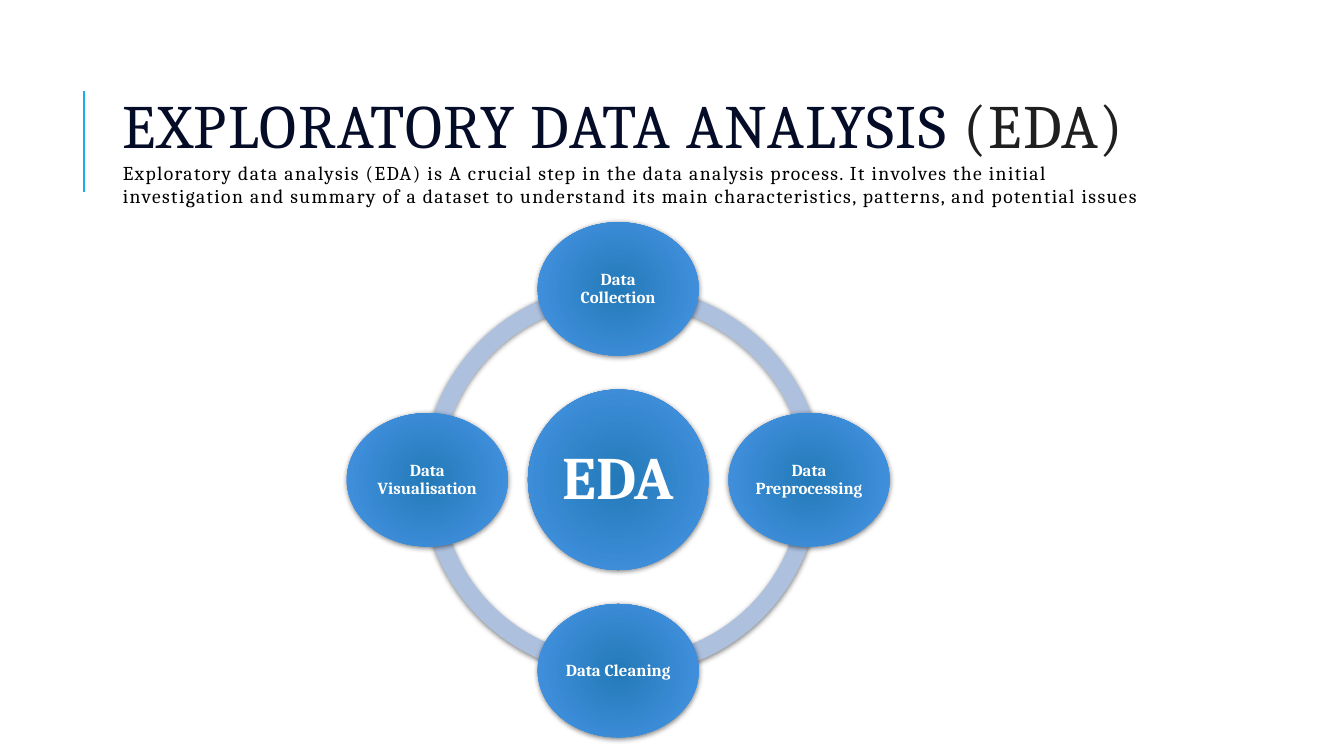
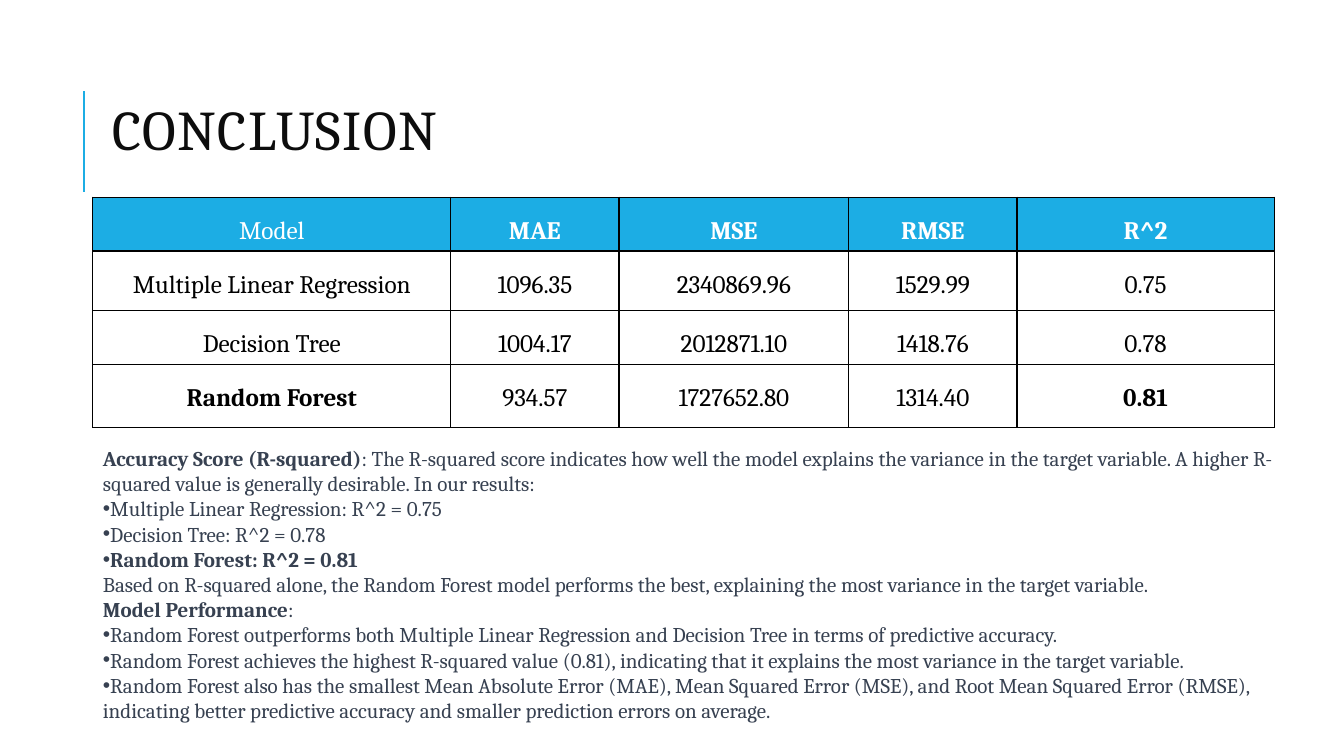
import math

from lxml import etree
from pptx import Presentation
from pptx import util as u
from pptx.dml.color import RGBColor
from pptx.enum import shapes, text
from pptx.oxml.ns import qn

ACCENT, WHITE, BLACK = "1CADE4", "FFFFFF", "000000"
NAVY, CHARCOAL, NEAR_BLACK, SLATE = "040C28", "1F1F1F", "0D0D0D", "374151"
RING, NODE_CORE, NODE_EDGE = "ADC1DF", "237AB8", "4895E7"


def rgb(value):
    return RGBColor.from_string(value)


def sub(parent, tag, **attrs):
    """Append a DrawingML element and return it."""
    return etree.SubElement(parent, qn("a:" + tag), attrs)


class Deck:
    FONT = "Cambria"
    CENTER = text.PP_ALIGN.CENTER

    def __init__(self):
        self.prs = Presentation()
        self.prs.slide_width, self.prs.slide_height = u.Cm(33.87), u.Cm(19.05)
        self.s = None

    def slide(self, layout):
        """Start a slide that carries the accent rule beside its title."""
        self.s = self.prs.slides.add_slide(self.prs.slide_layouts[layout])
        x = u.Cm(2.11)
        rule = self.s.shapes.add_connector(
            shapes.MSO_CONNECTOR.STRAIGHT, x, u.Cm(4.83), x, u.Cm(2.29))
        rule.line.color.rgb = rgb(ACCENT)
        rule.line.width = u.Pt(1.5)
        sub(rule._element.spPr, "effectLst")

    def place(self, sp, left, top, width, height):
        sp.left, sp.top, sp.width, sp.height = map(u.Cm, (left, top, width, height))

    def run(self, p, words, size, color, bold=False, spacing=None):
        r = p.add_run()
        r.text = words
        r.font.name, r.font.size, r.font.bold = self.FONT, u.Pt(size), bold
        r.font.color.rgb = rgb(color)
        if spacing:
            r._r.get_or_add_rPr().set("spc", str(spacing))

    def title(self, box, lines, line_spacing=1.0):
        """Fill the title; each line is a list of (words, size, colour)."""
        sp = self.s.shapes.title
        self.place(sp, *box)
        tf = sp.text_frame
        tf.auto_size = text.MSO_AUTO_SIZE.NONE
        tf.vertical_anchor = text.MSO_ANCHOR.MIDDLE
        p = tf.paragraphs[0]
        p.alignment, p.line_spacing = text.PP_ALIGN.LEFT, line_spacing
        for i, line in enumerate(lines):
            if i:
                p.add_line_break()
            for words, size, color in line:
                self.run(p, words, size, color, spacing=100)

    def body(self, box, items, size=15):
        """Fill the body; each item is (bulleted, [(words, bold), ...])."""
        sp = self.s.placeholders[1]
        self.place(sp, *box)
        tf = sp.text_frame
        tf.auto_size = text.MSO_AUTO_SIZE.NONE
        for i, (bulleted, runs) in enumerate(items):
            p = tf.add_paragraph() if i else tf.paragraphs[0]
            p.space_before = u.Pt(0)
            pPr = p._p.get_or_add_pPr()
            pPr.set("marL", "0")
            pPr.set("indent", "0")
            if bulleted:
                sub(pPr, "buFont", typeface="Arial")
                sub(pPr, "buChar", char="•")
            else:
                sub(pPr, "buNone")
            for words, bold in runs:
                self.run(p, words, size, SLATE, bold)

    def shape(self, kind, left, top, width, height):
        """Add an outline-free shape with the soft drop shadow."""
        sp = self.s.shapes.add_shape(kind, *map(u.Cm, (left, top, width, height)))
        sp.line.fill.background()
        sp.shadow.inherit = False
        effects = sp._element.spPr.find(qn("a:effectLst"))
        shadow = sub(effects, "outerShdw", blurRad=str(u.Pt(4)), dist=str(u.Pt(1)),
                     dir="5400000", rotWithShape="0")
        sub(sub(shadow, "srgbClr", val=BLACK), "alpha", val="50000")
        return sp

    def arc(self, left, top, width, height, start, end):
        """Add a ring section; angles are in degrees, clockwise from the right."""
        sp = self.shape(shapes.MSO_SHAPE.BLOCK_ARC, left, top, width, height)
        sp.fill.solid()
        sp.fill.fore_color.rgb = rgb(RING)
        for i, value in enumerate((start * 0.6, end * 0.6, 0.046)):
            sp.adjustments[i] = value

    def node(self, cx, cy, width, height, label, size):
        sp = self.shape(shapes.MSO_SHAPE.OVAL, cx - width / 2, cy - height / 2,
                        width, height)
        sp.fill.gradient()
        for stop, color in zip(sp.fill.gradient_stops, (NODE_CORE, NODE_EDGE)):
            stop.color.rgb = rgb(color)
        grad = sp._element.spPr.find(qn("a:gradFill"))
        grad.remove(grad.find(qn("a:lin")))
        sub(sub(grad, "path", path="circle"), "fillToRect",
            **dict.fromkeys("ltrb", "100000"))
        tf = sp.text_frame
        tf.word_wrap = True
        tf.vertical_anchor = text.MSO_ANCHOR.MIDDLE
        tf.margin_left = tf.margin_right = tf.margin_top = tf.margin_bottom = u.Cm(0.05)
        p = tf.paragraphs[0]
        p.alignment, p.line_spacing = self.CENTER, 0.9
        self.run(p, label, size, WHITE, bold=True)

    def table(self, left, top, widths, heights, rows, bold_cells):
        frame = self.s.shapes.add_table(
            len(rows), len(widths),
            *map(u.Cm, (left, top, sum(widths), sum(heights))))
        table = frame.table
        table.first_row = table.horz_banding = False
        for column, width in zip(table.columns, widths):
            column.width = u.Cm(width)
        for i, row in enumerate(rows):
            table.rows[i].height = u.Cm(heights[i])
            fill, color = (WHITE, BLACK) if i else (ACCENT, WHITE)
            for j, words in enumerate(row):
                self.cell(table.cell(i, j), words, fill, color, (i, j) in bold_cells)

    def cell(self, cell, words, fill, color, bold):
        p = cell.text_frame.paragraphs[0]
        p.alignment, p.line_spacing = self.CENTER, 1.5
        self.run(p, words, 18, color, bold)
        tcPr = cell._tc.get_or_add_tcPr()
        for side in ("lnL", "lnR", "lnT", "lnB"):
            line = sub(tcPr, side, w=str(u.Pt(1)))
            sub(sub(line, "solidFill"), "srgbClr", val=BLACK)
        cell.fill.solid()
        cell.fill.fore_color.rgb = rgb(fill)


def eda_slide(deck):
    deck.slide(5)
    deck.title((2.84, 1.63, 27, 4.17), [
        [("EXPLORATORY DATA ANALYSIS", 44, NAVY), ("\u00a0(EDA)", 44, CHARCOAL)],
        [("Exploratory data analysis (EDA) is A crucial step in the data analysis "
          "process. It involves the initial investigation and summary of a dataset "
          "to understand its main characteristics, patterns, and potential issues",
          14, BLACK)],
    ])
    arcs = [(10.64, 9.86, 180), (10.64, 9.86, 90), (10.8, 9.86, 0), (10.41, 10.34, 270)]
    for left, width, start in arcs:
        deck.arc(left, 7.16, width, 9.86, start, (start + 90) % 360)

    cx, cy, orbit = 15.58, 12.09, 4.81
    deck.node(cx, cy, 4.55, 4.55, "EDA", 43)
    steps = ["Data Collection", "Data Preprocessing", "Data Cleaning",
             "Data Visualisation"]
    for i, step in enumerate(steps):
        angle = math.radians(90 * i - 90)
        deck.node(cx + orbit * math.cos(angle), cy + orbit * math.sin(angle),
                  4.06, 3.36, step, 12)


def conclusion_slide(deck):
    deck.slide(1)
    deck.title((2.59, 2.72, 29.21, 1.32), [[("CONCLUSION", 40, NEAR_BLACK)]], 0.8)
    deck.table(
        2.34, 4.97, (9.02, 4.24, 5.79, 4.24, 6.48), (1.17, 1.5, 1.14, 1.6),
        [("Model", "MAE", "MSE", "RMSE", "R^2"),
         ("Multiple Linear Regression", "1096.35", "2340869.96", "1529.99", "0.75"),
         ("Decision Tree", "1004.17", "2012871.10", "1418.76", "0.78"),
         ("Random Forest", "934.57", "1727652.80", "1314.40", "0.81")],
        bold_cells={(0, 1), (0, 2), (0, 3), (0, 4), (3, 0), (3, 4)})
    deck.body((2.34, 11.1, 30.91, 7.95), [
        (False, [("Accuracy Score (R-squared)", True),
                 (": The R-squared score indicates how well the model explains the "
                  "variance in the target variable. A higher R-squared value is "
                  "generally desirable. In our results:", False)]),
        (True, [("Multiple Linear Regression: R^2 = 0.75", False)]),
        (True, [("Decision Tree: R^2 = 0.78", False)]),
        (True, [("Random Forest: R^2 = 0.81", True)]),
        (False, [("Based on R-squared alone, the Random Forest model performs the "
                  "best, explaining the most variance in the target variable.", False)]),
        (False, [("Model Performance", True), (":", False)]),
        (True, [("Random Forest outperforms both Multiple Linear Regression and "
                 "Decision Tree in terms of predictive accuracy.", False)]),
        (True, [("Random Forest achieves the highest R-squared value (0.81), "
                 "indicating that it explains the most variance in the target "
                 "variable.", False)]),
        (True, [("Random Forest also has the smallest Mean Absolute Error (MAE), "
                 "Mean Squared Error (MSE), and Root Mean Squared Error (RMSE), "
                 "indicating better predictive accuracy and smaller prediction "
                 "errors on average.", False)]),
    ])


def main():
    deck = Deck()
    eda_slide(deck)
    conclusion_slide(deck)
    deck.prs.save("out.pptx")


if __name__ == "__main__":
    main()
